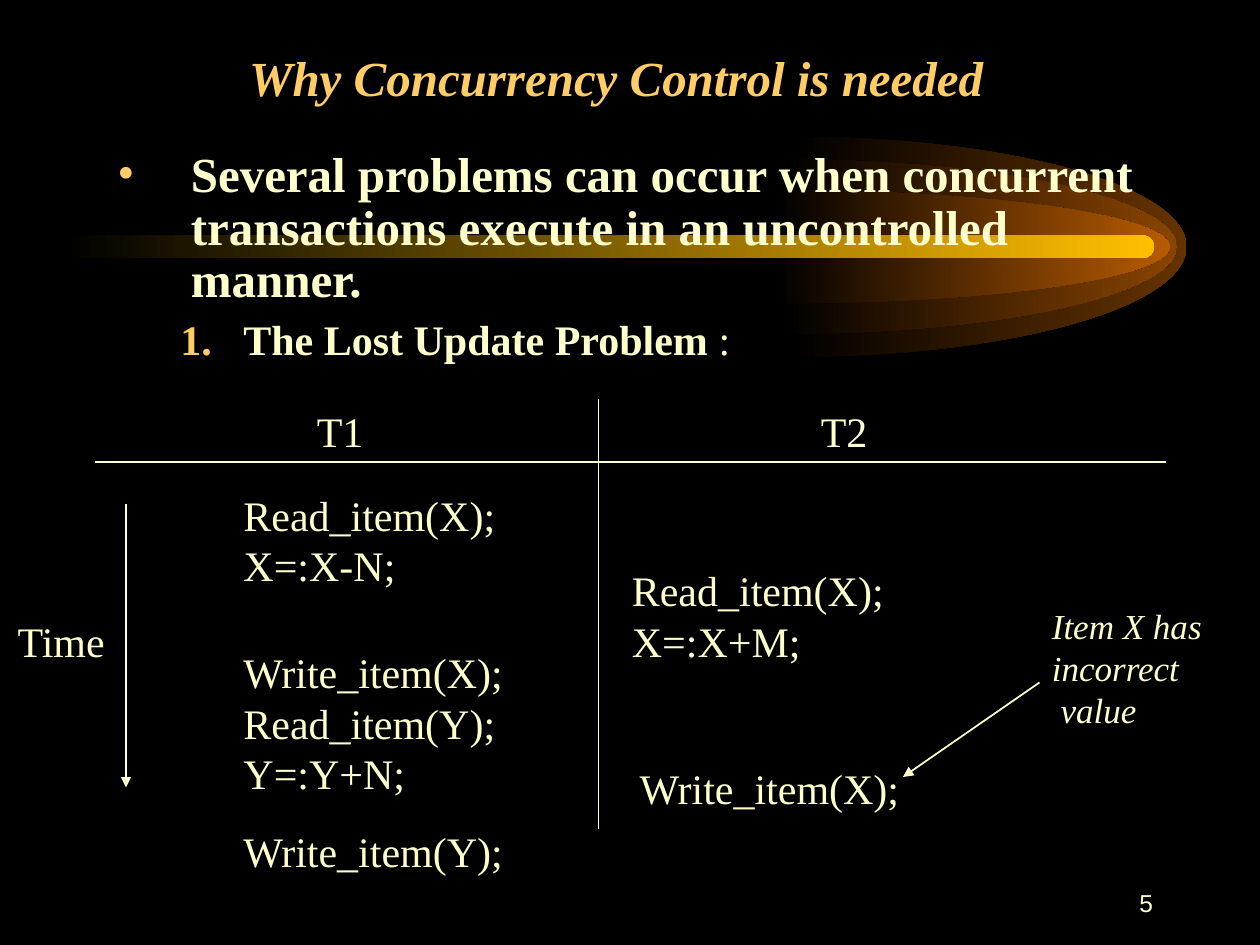
from dataclasses import dataclass

from lxml.etree import SubElement
from pptx import Presentation
from pptx.dml.color import RGBColor
from pptx.enum.shapes import MSO_CONNECTOR as Connector, MSO_SHAPE as Shape
from pptx.enum.text import MSO_ANCHOR as Anchor, PP_ALIGN as Align
from pptx.oxml.ns import qn
from pptx.util import Pt


@dataclass(frozen=True)
class Theme:
    back: str = "000000"
    ink: str = "FFFFCC"
    accent: str = "FFCC66"
    bar: str = "FFBF00"
    glows: tuple = ("663300", "894400", "B75B00")
    serif: str = "Times New Roman"
    sans: str = "Arial"
    heading: int = 28
    text: int = 24
    remark: int = 20
    number: int = 14


@dataclass(frozen=True)
class Box:
    x: float
    y: float
    w: float
    h: float

    def inner(self, dx, dy, w, h):
        return Box(self.x + dx, self.y + dy, w, h)

    def lengths(self):
        return [Pt(value) for value in (self.x, self.y, self.w, self.h)]


THEME = Theme()


def rgb(code):
    return RGBColor.from_string(code)


def add_run(paragraph, text, size, color=THEME.ink, font=THEME.serif, bold=False, italic=False):
    run = paragraph.add_run()
    run.text = text
    run.font.size = Pt(size)
    run.font.name = font
    run.font.bold = bold
    run.font.italic = italic
    run.font.color.rgb = rgb(color)


def add_frame(slide, box, wrap=True):
    frame = slide.shapes.add_textbox(*box.lengths()).text_frame
    frame.word_wrap = wrap
    return frame


def next_paragraph(frame, index):
    return frame.add_paragraph() if index else frame.paragraphs[0]


def add_lines(slide, box, *lines):
    frame = add_frame(slide, box, wrap=len(lines) > 1)
    for index, line in enumerate(lines):
        add_run(next_paragraph(frame, index), line, THEME.text)


def add_rule(slide, x1, y1, x2, y2, arrow=False):
    rule = slide.shapes.add_connector(Connector.STRAIGHT, Pt(x1), Pt(y1), Pt(x2), Pt(y2))
    rule.line.color.rgb = rgb(THEME.ink)
    rule.line.width = Pt(1)
    if arrow:
        SubElement(rule.line._get_or_add_ln(), qn("a:tailEnd"), type="triangle")
    SubElement(rule._element.spPr, qn("a:effectLst"))


def fade_in(shape, color):
    shape.shadow.inherit = False
    shape.line.fill.background()
    shape.fill.gradient()
    shape.fill.gradient_angle = 0
    for stop, code in zip(shape.fill.gradient_stops, (THEME.back, color)):
        stop.color.rgb = rgb(code)


def add_half_ellipse(slide, x, middle, reach, half):
    pull = 0.55
    corners = (
        (0, -1), (pull, -1), (1, -pull), (1, 0), (1, pull), (pull, 1), (0, 1),
    )
    points = [(Pt(x + reach * u), Pt(middle + half * v)) for u, v in corners]
    outline = slide.shapes.build_freeform(*points[0])
    outline.add_line_segments(points[1:], close=True)
    glow = outline.convert_to_shape()
    segments = list(glow._element.iter(qn("a:lnTo")))
    for start in range(0, len(segments), 3):
        curve = segments[start].makeelement(qn("a:cubicBezTo"))
        segments[start].addprevious(curve)
        for segment in segments[start:start + 3]:
            curve.append(segment[0])
            segment.getparent().remove(segment)
    return glow


def add_comet(slide, box):
    middle = box.y + box.h / 2
    for color, left, half in zip(THEME.glows, (416, 410.5, 406.5), (63, 50, 32.5)):
        fade_in(add_half_ellipse(slide, box.x + left, middle, 226, half), color)
    bar = slide.shapes.add_shape(
        Shape.ROUNDED_RECTANGLE, *Box(box.x, middle - 6.5, 623.5, 13).lengths()
    )
    bar.adjustments[0] = 0.5
    fade_in(bar, THEME.bar)


def place_title(slide, box):
    title = slide.shapes.title
    title.left, title.top, title.width, title.height = box.lengths()
    frame = title.text_frame
    frame.vertical_anchor = Anchor.BOTTOM
    frame.margin_right = Pt(23.2)
    frame.margin_bottom = Pt(5)
    paragraph = frame.paragraphs[0]
    paragraph.alignment = Align.CENTER
    add_run(paragraph, "Why Concurrency Control is needed", THEME.heading,
            THEME.accent, bold=True, italic=True)


def add_marker(paragraph, margin, hanging, tag, **settings):
    props = paragraph._p.get_or_add_pPr()
    props.set("marL", str(Pt(margin)))
    props.set("indent", str(-Pt(hanging)))
    SubElement(SubElement(props, qn("a:buClr")), qn("a:srgbClr"), val=THEME.accent)
    SubElement(props, qn("a:buFont"), typeface=THEME.serif)
    SubElement(props, qn(tag), **settings)


def add_problems(slide, box):
    frame = add_frame(slide, box)
    statement = frame.paragraphs[0]
    add_marker(statement, 42, 42, "a:buChar", char="•")
    add_run(statement, "Several problems can occur when concurrent transactions "
            "execute in an uncontrolled manner.", THEME.heading, bold=True)
    problem = frame.add_paragraph()
    problem.level = 1
    problem.space_before = Pt(6)
    add_marker(problem, 72, 36, "a:buAutoNum", type="arabicPeriod")
    add_run(problem, "The Lost Update Problem", THEME.text, bold=True)
    add_run(problem, " :", THEME.text)
    for paragraph in frame.paragraphs:
        paragraph.line_spacing = 0.9


def add_schedule(slide, box):
    x, y = box.x, box.y
    add_rule(slide, x + 54, y + 36, x + 666, y + 36)
    add_rule(slide, x + 342, y, x + 342, y + 246)
    add_rule(slide, x + 72, y + 60, x + 72, y + 222, arrow=True)
    entries = (
        (174, 0, 41, 36, ["T1"]),
        (462, 0, 41, 36, ["T2"]),
        (3, 120, 65, 36, ["Time"]),
        (132, 48, 176, 65, ["Read_item(X);", "X=:X-N;"]),
        (132, 138, 192, 94, ["Write_item(X);", "Read_item(Y);", "Y=:Y+N;"]),
        (132, 240, 163, 36, ["Write_item(Y);"]),
        (354, 91.3, 176, 65, ["Read_item(X);", "X=:X+M;"]),
        (358.5, 204, 163, 36, ["Write_item(X);"]),
    )
    for dx, dy, w, h, lines in entries:
        add_lines(slide, box.inner(dx, dy, w, h), *lines)


def add_remark(slide, box):
    frame = add_frame(slide, box)
    for index, line in enumerate(("Item X has incorrect", "value")):
        paragraph = next_paragraph(frame, index)
        paragraph._p.get_or_add_pPr().set("marL", str(Pt(5 * index)))
        add_run(paragraph, line, THEME.remark, italic=True)
    add_rule(slide, box.x, box.y + 48, box.x - 78, box.y + 102, arrow=True)


def add_number(slide, box):
    frame = add_frame(slide, box)
    frame.vertical_anchor = Anchor.MIDDLE
    frame.paragraphs[0].alignment = Align.RIGHT
    add_run(frame.paragraphs[0], "5", THEME.number, font=THEME.sans)


def main():
    deck = Presentation()
    deck.slide_width, deck.slide_height = Pt(720), Pt(540)
    slide = deck.slides.add_slide(deck.slide_layouts[5])
    slide.background.fill.solid()
    slide.background.fill.fore_color.rgb = rgb(THEME.back)
    add_comet(slide, Box(36, 78, 642, 126))
    add_number(slide, Box(516, 498, 150, 36))
    place_title(slide, Box(54, 12, 612, 54))
    add_problems(slide, Box(60, 82, 612, 134))
    add_schedule(slide, Box(0, 228, 720, 276))
    add_remark(slide, Box(594, 342, 102, 79))
    deck.save("out.pptx")


if __name__ == "__main__":
    main()
